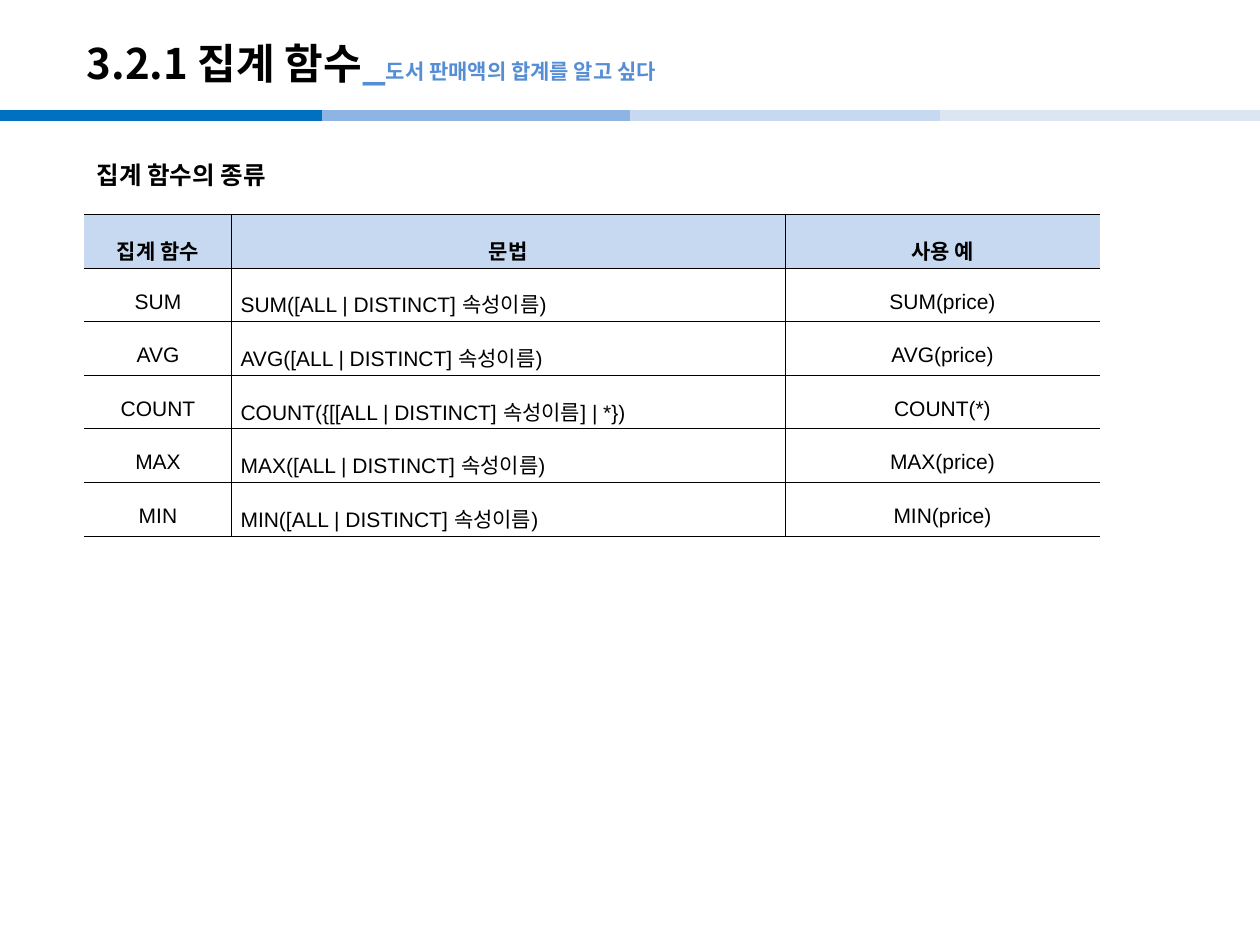
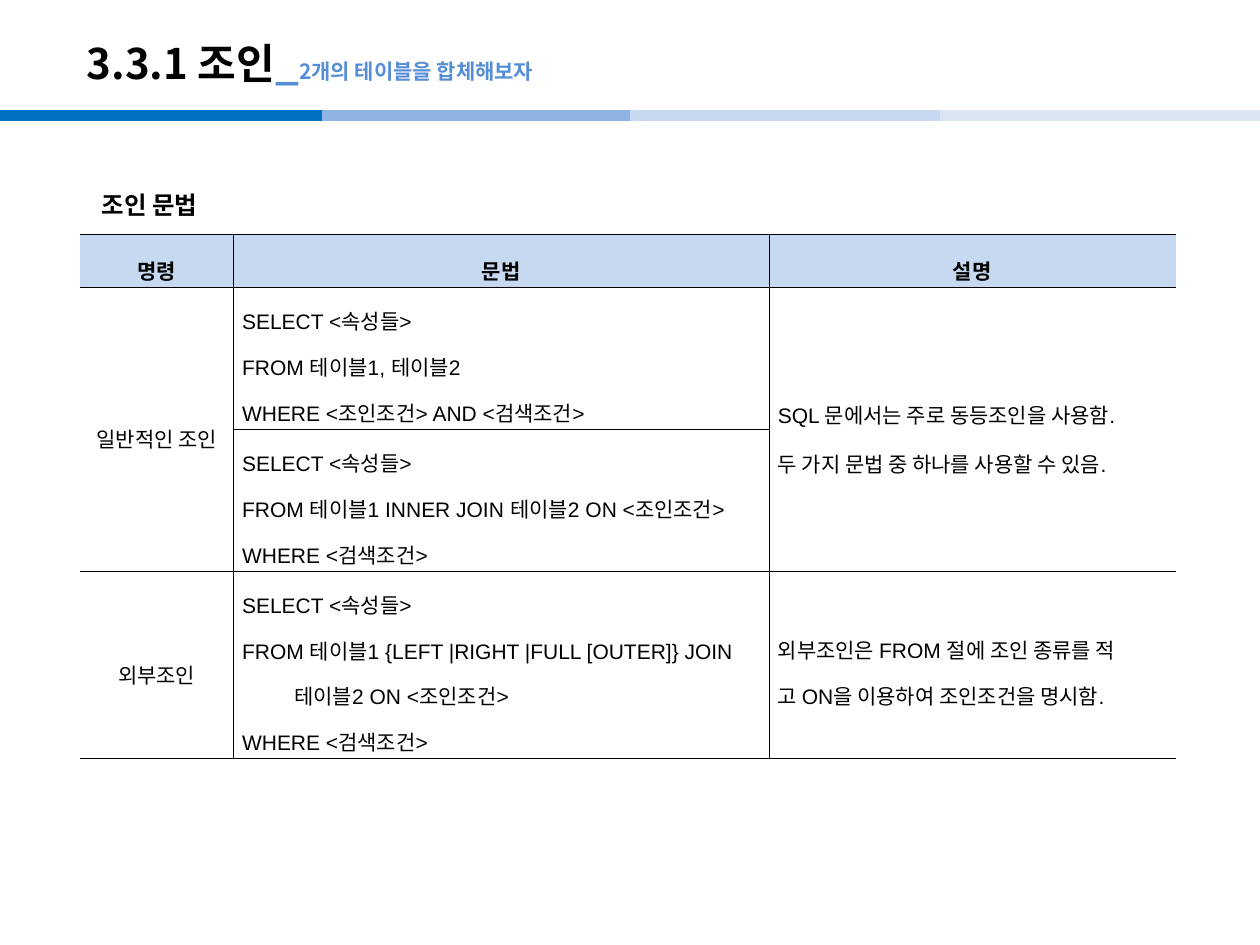
from pptx import Presentation
from pptx.dml.color import RGBColor
from pptx.enum.shapes import MSO_CONNECTOR
from pptx.enum.text import MSO_ANCHOR, PP_ALIGN
from pptx.oxml import parse_xml
from pptx.oxml.ns import nsdecls, qn
from pptx.util import Cm, Pt

STRAIGHT = MSO_CONNECTOR.STRAIGHT
MIDDLE = MSO_ANCHOR.MIDDLE
LEFT, CENTER, JUSTIFY = PP_ALIGN.LEFT, PP_ALIGN.CENTER, PP_ALIGN.JUSTIFY

COLORS = {"ink": "000000", "accent": "558ED5", "head": "C6D9F1"}
BANDS = {0: "0070C0", 6.5: "8EB4E3", 12.7: "C6D9F1", 18.95: "DCE6F2"}
KOREAN = "Noto Sans CJK KR"
LATIN = "Arial"

FUNCS = [
    ["집계 함수", "문법", "사용 예"],
    ["SUM", "SUM([ALL | DISTINCT] 속성이름)", "SUM(price)"],
    ["AVG", "AVG([ALL | DISTINCT] 속성이름)", "AVG(price)"],
    ["COUNT", "COUNT({[[ALL | DISTINCT] 속성이름] | *})", "COUNT(*)"],
    ["MAX", "MAX([ALL | DISTINCT] 속성이름)", "MAX(price)"],
    ["MIN", "MIN([ALL | DISTINCT] 속성이름)", "MIN(price)"],
]
JOINS = [
    ["명령", "문법", "설명"],
    ["일반적인 조인",
     "SELECT <속성들>\nFROM 테이블1, 테이블2\nWHERE <조인조건> AND <검색조건>",
     "SQL 문에서는 주로 동등조인을 사용함.\n두 가지 문법 중 하나를 사용할 수 있음."],
    ["",
     "SELECT <속성들>\nFROM 테이블1 INNER JOIN 테이블2 ON <조인조건>\nWHERE <검색조건>",
     ""],
    ["외부조인",
     "SELECT <속성들>\nFROM 테이블1 {LEFT |RIGHT |FULL [OUTER]} JOIN\n"
     "테이블2 ON <조인조건>\nWHERE <검색조건>",
     "외부조인은 FROM 절에 조인 종류를 적\n고 ON을 이용하여 조인조건을 명시함."],
]


def style(run, size, face, bold=True, color="ink"):
    """Set the size, fonts, weight and colour of a run."""
    font = run.font
    font.size, font.name, font.bold = Pt(size), face, bold
    font.color.rgb = RGBColor.from_string(COLORS[color])
    props = run._r.get_or_add_rPr()
    props.append(parse_xml(f'<a:ea {nsdecls("a")} typeface="{KOREAN}"/>'))


def add_text(slide, box, parts):
    """Add a one-line text box of (text, size, colour) parts."""
    frame = slide.shapes.add_textbox(*map(Cm, box)).text_frame
    frame.word_wrap = True
    frame.vertical_anchor = MIDDLE
    for text, size, color in parts:
        run = frame.paragraphs[0].add_run()
        run.text = text
        style(run, size, KOREAN, color=color)


def add_bands(slide):
    """Draw the four-colour rule below the title."""
    for left, color in BANDS.items():
        right = min(left + 6.5, 25.4)
        line = slide.shapes.add_connector(
            STRAIGHT, Cm(left), Cm(2.33), Cm(right), Cm(2.33))
        line.line.width = Pt(6)
        line.line.color.rgb = RGBColor.from_string(color)
        line._element.spPr.append(parse_xml(f'<a:effectLst {nsdecls("a")}/>'))


def add_page(deck, title, note):
    """Add a blank slide with its bands and title."""
    slide = deck.slides.add_slide(deck.slide_layouts[6])
    add_bands(slide)
    add_text(slide, (1.5, 0.5, 21, 1.53),
             [(title, 24, "ink"), ("_", 24, "accent"), (note, 12, "accent")])
    return slide


def add_edges(cell, hidden):
    """Rule the sides of a cell, apart from the hidden ones."""
    props = cell._tc.get_or_add_tcPr()
    for side in "LRTB":
        fill = "<a:noFill/>"
        if side not in hidden:
            fill = (f'<a:solidFill><a:srgbClr val="{COLORS["ink"]}"/>'
                    '</a:solidFill>')
        props.append(parse_xml(
            f'<a:ln{side} {nsdecls("a")} w="3600">{fill}</a:ln{side}>'))


def fill_cell(cell, text, head, align, space):
    """Write and format the text of a cell."""
    cell.margin_left = cell.margin_right = Cm(0.18)
    cell.margin_top = cell.margin_bottom = Cm(0.05)
    cell.vertical_anchor = MIDDLE
    if head:
        cell.fill.solid()
        cell.fill.fore_color.rgb = RGBColor.from_string(COLORS["head"])
    else:
        cell.fill.background()
    cell.text_frame.text = text
    for para in cell.text_frame.paragraphs:
        para.alignment, para.line_spacing = align, space
        for run in para.runs:
            style(run, 12, LATIN, bold=head)


def add_grid(slide, spot, data, cols, rows, form):
    """Add a ruled table; form gives the alignment and spacing of a cell."""
    table = slide.shapes.add_table(
        len(rows), len(cols), *map(Cm, (*spot, sum(cols), sum(rows)))).table
    table.first_row = table.horz_banding = False
    for col, width in zip(table.columns, cols):
        col.width = Cm(width)
    for row, height in zip(table.rows, rows):
        row.height = Cm(height)
    for i, texts in enumerate(data):
        for j, text in enumerate(texts):
            cell = table.cell(i, j)
            add_edges(cell, {0: "L", len(cols) - 1: "R"}.get(j, ""))
            fill_cell(cell, text, i == 0, *form(i, j))
    return table


def func_form(row, col):
    """Give the alignment and spacing in the function table."""
    return (JUSTIFY if row and col == 1 else CENTER), 1.6


def join_form(row, col):
    """Give the alignment and spacing in the join table."""
    if row == 0 or col == 0:
        return CENTER, 1.6
    return (JUSTIFY, 1.6) if col == 2 and row < 3 else (LEFT, 1.5)


def main():
    """Build and save the two slides."""
    deck = Presentation()
    deck.slide_width, deck.slide_height = Cm(25.4), Cm(19.05)

    slide = add_page(deck, "3.2.1 집계 함수", "도서 판매액의 합계를 알고 싶다")
    add_grid(slide, (1.7, 4.32), FUNCS, (2.97, 11.15, 6.36), [1.08] * 6,
             func_form)
    add_text(slide, (1.7, 3.12, 5.3, 0.8), [("집계 함수의 종류", 14, "ink")])

    slide = add_page(deck, "3.3.1 조인", "2개의 테이블을 합체해보자")
    table = add_grid(slide, (1.62, 4.72), JOINS, (3.08, 10.8, 8.2),
                     (1.08, 2.86, 2.86, 3.77), join_form)
    for col in (0, 2):
        table.cell(1, col).merge(table.cell(2, col))
    indent = table.cell(3, 1).text_frame.paragraphs[2]._p
    indent.find(qn("a:pPr")).set("marL", str(Cm(1.05)))
    add_text(slide, (1.8, 3.73, 5.3, 0.8), [("조인 문법", 14, "ink")])

    deck.save("out.pptx")


if __name__ == "__main__":
    main()
